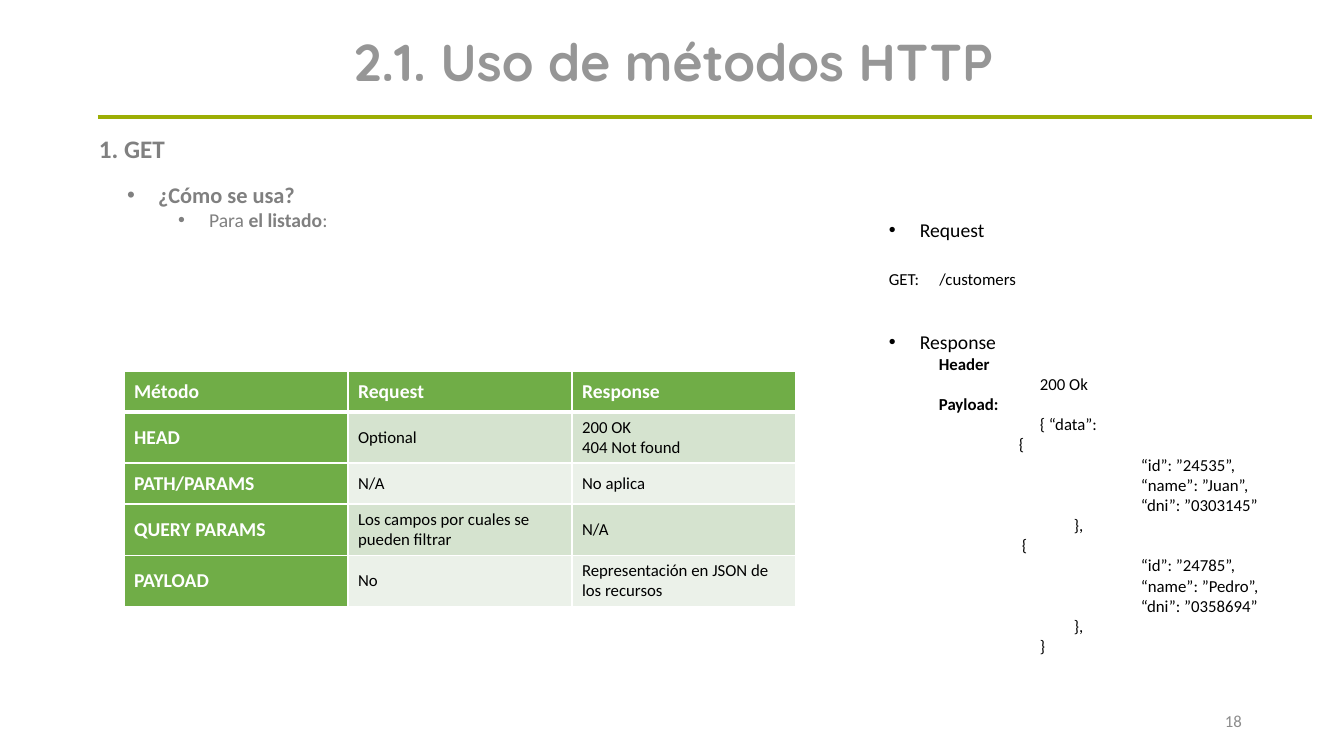
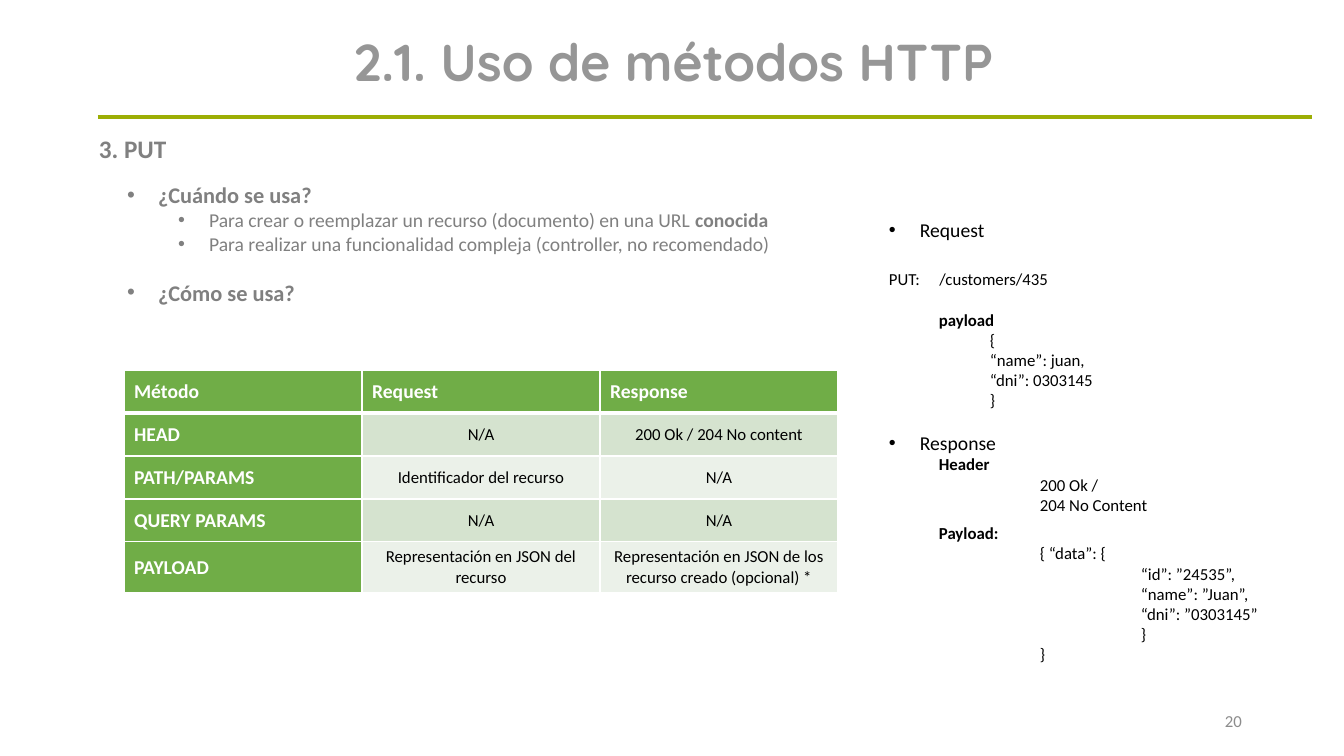
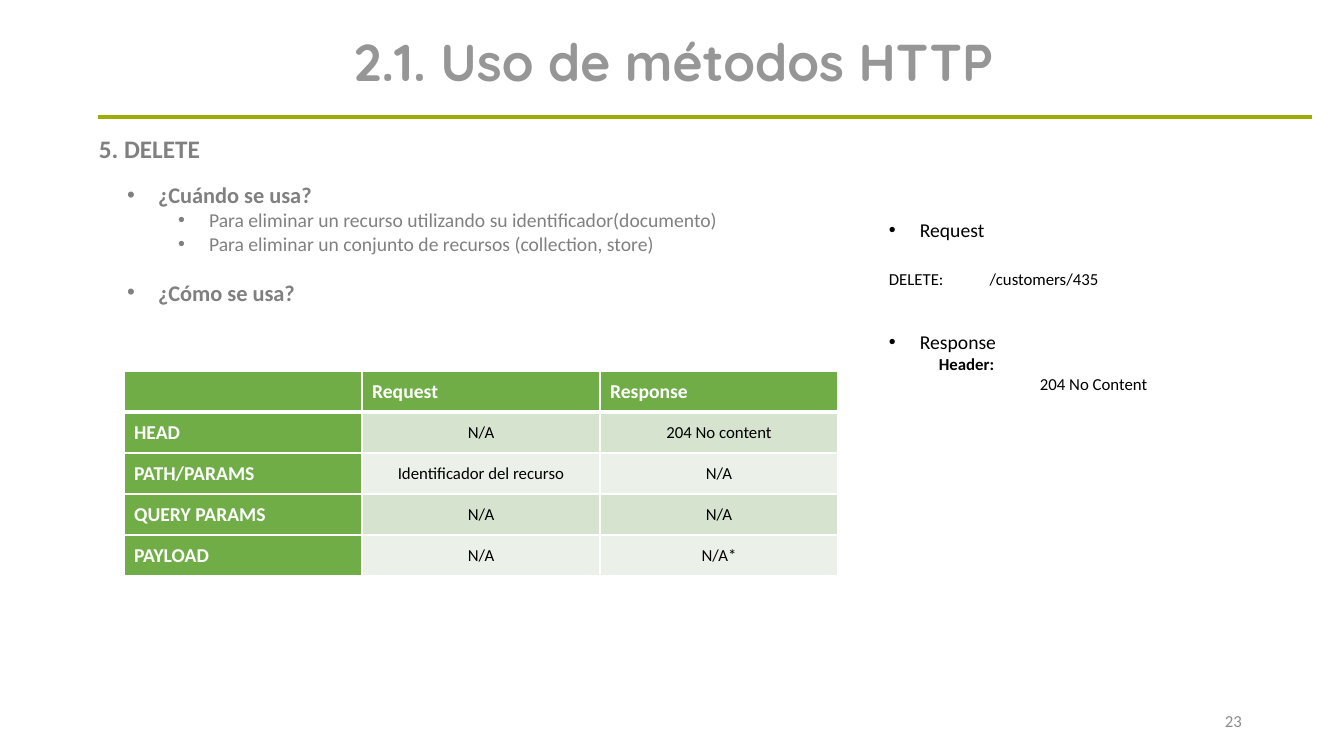
from dataclasses import dataclass

from pptx import Presentation
from pptx import util as u
from pptx.dml.color import RGBColor
from pptx.enum import shapes
from pptx.enum import text as et
from pptx.oxml.ns import qn
from lxml import etree

EMU_PER_PX = 914400 / 100.8


def px(n: int) -> int:
    return round(n * EMU_PER_PX)


# Theme: colours, fonts and type sizes
@dataclass(frozen=True)
class Theme:
    white: str = "FFFFFF"
    black: str = "000000"
    grey: str = "808080"
    title_grey: str = "969696"
    page_grey: str = "8C8C8C"
    rule: str = "9CAE04"
    green: str = "70AD47"
    bands: tuple[str, str] = ("D5E3CF", "EBF1E9")
    font: str = "Calibri"
    title_font: str = "Quicksand"
    title: int = 37
    heading: int = 18
    item: int = 16
    label: int = 14
    small: int = 12


T = Theme()
TITLE = "2.1. Uso de métodos HTTP"
ROW_LABELS = ("HEAD", "PATH/PARAMS", "QUERY PARAMS", "PAYLOAD")
LEFT, CENTER = et.PP_ALIGN.LEFT, et.PP_ALIGN.CENTER


@dataclass(frozen=True)
class Box:
    x: int
    y: int
    w: int
    h: int


@dataclass(frozen=True)
class Line:
    """One paragraph; a "|" in the text switches bold on or off."""
    text: str
    size: int = T.small
    bold: bool = False
    indent: int = 0
    hang: int = 0
    level: int = 0
    before: float = 0
    tab: int = 0


@dataclass(frozen=True)
class Grid:
    corner: str
    top: int
    col_w: int
    row_h: tuple[int, ...]
    cells: tuple[tuple[str, str], ...]
    align: et.PP_ALIGN = CENTER


@dataclass(frozen=True)
class Page:
    number: int
    heading: str
    outline: tuple[Line, ...]
    outline_h: int
    grid: Grid
    panel: tuple[Line, ...]
    panel_h: int


# Kinds of line
def item(s: str, before: float = 0) -> Line:
    return Line(s, T.item, True, indent=31, hang=31, before=before)


def sub(s: str) -> Line:
    return Line(s, T.label, indent=82, hang=31, level=1)


def label(s: str, before: float = 0) -> Line:
    return Line(s, T.label, indent=31, hang=31, before=before)


def part(s: str, before: float = 0) -> Line:
    return Line(s, bold=True, indent=50, before=before)


def code(indent: int, *rows: str) -> tuple[Line, ...]:
    return tuple(Line(s, indent=indent) for s in rows)


def call(method: str, target: str, tab: int = 42) -> Line:
    return Line(f"{method}:\t{target}", before=19.5, tab=tab)


# Text
def write(p, s: str, *, size: int, color: str, bold: bool = False,
          font: str = T.font) -> None:
    for i, chunk in enumerate(s.split("|")):
        if chunk:
            r = p.add_run()
            r.text = chunk
            r.font.size = u.Pt(size)
            r.font.name = font
            r.font.bold = bold != bool(i % 2)
            r.font.color.rgb = RGBColor.from_string(color)


def write_lines(tf, lines: tuple[Line, ...], color: str) -> None:
    for i, line in enumerate(lines):
        p = tf.add_paragraph() if i else tf.paragraphs[0]
        p.level = line.level
        pPr = p._p.get_or_add_pPr()
        pPr.set("marL", str(px(line.indent)))
        pPr.set("indent", str(-px(line.hang)))
        if line.hang:
            etree.SubElement(pPr, qn("a:buFont"), typeface="Arial")
            etree.SubElement(pPr, qn("a:buChar"), char="•")
        if line.tab:
            tabs = etree.SubElement(pPr, qn("a:tabLst"))
            etree.SubElement(tabs, qn("a:tab"), pos=str(px(line.tab)), algn="l")
        p.line_spacing = 1.0
        p.space_before = u.Pt(line.before)
        write(p, line.text, size=line.size, color=color, bold=line.bold)


def place(sp, box: Box, anchor=et.MSO_ANCHOR.TOP):
    sp.left, sp.top, sp.width, sp.height = map(px, (box.x, box.y, box.w, box.h))
    tf = sp.text_frame
    tf.word_wrap = True
    tf.auto_size = et.MSO_AUTO_SIZE.NONE
    tf.vertical_anchor = anchor
    return tf


def text_box(slide, box: Box, anchor=et.MSO_ANCHOR.TOP):
    return place(slide.shapes.add_textbox(0, 0, 0, 0), box, anchor)


# Table
def set_borders(cell, row: int) -> None:
    tcPr = cell._tc.get_or_add_tcPr()
    widths = {"L": 1, "R": 1, "T": 3 if row == 1 else 1, "B": 1 if row else 3}
    for side, width in widths.items():
        ln = etree.SubElement(tcPr, qn(f"a:ln{side}"), w=str(u.Pt(width)))
        fill = etree.SubElement(ln, qn("a:solidFill"))
        etree.SubElement(fill, qn("a:srgbClr"), val=T.white)


def add_grid(slide, grid: Grid) -> None:
    rows = ((grid.corner, "Request", "Response"),
            *((name, *pair) for name, pair in zip(ROW_LABELS, grid.cells)))
    table = slide.shapes.add_table(
        len(rows), 3, px(124), px(grid.top),
        px(grid.col_w * 3), px(sum(grid.row_h))).table
    for col in table.columns:
        col.width = px(grid.col_w)
    for i, (row, height) in enumerate(zip(rows, grid.row_h)):
        table.rows[i].height = px(height)
        for j, value in enumerate(row):
            cell = table.cell(i, j)
            head = i == 0 or j == 0
            set_borders(cell, i)
            cell.fill.solid()
            cell.fill.fore_color.rgb = RGBColor.from_string(
                T.green if head else T.bands[(i - 1) % 2])
            cell.vertical_anchor = et.MSO_ANCHOR.MIDDLE
            for k, s in enumerate(value.split("\n")):
                tf = cell.text_frame
                p = tf.add_paragraph() if k else tf.paragraphs[0]
                p.alignment = LEFT if head else grid.align
                write(p, s, size=T.label if head else T.small, bold=head,
                      color=T.white if head else T.black)


# Slide frame: title, rule, heading and page number
def add_frame(slide, page: Page) -> None:
    p = place(slide.shapes.title, Box(98, 22, 1151, 85),
              et.MSO_ANCHOR.MIDDLE).paragraphs[0]
    p.alignment = CENTER
    p.line_spacing = 0.9
    write(p, TITLE, size=T.title, color=T.title_grey, bold=True, font=T.title_font)

    rule = slide.shapes.add_connector(
        shapes.MSO_CONNECTOR.STRAIGHT, px(98), px(117), px(1312), px(117))
    rule.line.color.rgb = RGBColor.from_string(T.rule)
    rule.line.width = u.Pt(2.25)
    etree.SubElement(rule._element.spPr, qn("a:effectLst"))

    p = text_box(slide, Box(89, 113, 1215, 51)).paragraphs[0]
    p.alignment = et.PP_ALIGN.JUSTIFY
    p.line_spacing = 1.5
    write(p, page.heading, size=T.heading, color=T.grey, bold=True)

    p = text_box(slide, Box(950, 701, 302, 40), et.MSO_ANCHOR.MIDDLE).paragraphs[0]
    p.alignment = et.PP_ALIGN.RIGHT
    write(p, str(page.number), size=T.small, color=T.page_grey)


def add_page(prs, page: Page) -> None:
    slide = prs.slides.add_slide(prs.slide_layouts[1])
    add_frame(slide, page)
    body = slide.placeholders[1]
    body.fill.solid()
    body.fill.fore_color.rgb = RGBColor.from_string(T.white)
    write_lines(place(body, Box(117, 176, 1122, page.outline_h)),
                page.outline, T.grey)
    add_grid(slide, page.grid)
    write_lines(text_box(slide, Box(879, 213, 410, page.panel_h)),
                page.panel, T.black)


# Content
JUAN = ("“id”: ”24535”,", "“name”: ”Juan”,", "“dni”: ”0303145”")
PEDRO = ("“id”: ”24785”,", "“name”: ”Pedro”,", "“dni”: ”0358694”")
HOW = "¿Cómo se usa?"
WHEN = "¿Cuándo se usa?"

PAGES = (
    Page(
        18, "1. GET",
        (item(HOW), sub("Para |el listado|:")), 61,
        Grid("Método", 371, 224, (41, 50, 41, 50, 50), (
            ("Optional", "200 OK\n404 Not found"),
            ("N/A", "No aplica"),
            ("Los campos por cuales se pueden filtrar", "N/A"),
            ("No", "Representación en JSON de los recursos"),
        ), LEFT),
        (label("Request"), call("GET", "/customers"),
         label("Response", 29.3),
         part("Header"), *code(151, "200 Ok"),
         part("Payload:"), *code(151, "{ “data”:"), *code(130, "{"),
         *code(252, *JUAN), *code(185, "},"), *code(133, "{"),
         *code(252, *PEDRO), *code(185, "},"), *code(151, "}")), 452),
    Page(
        20, "3. PUT",
        (item(WHEN),
         sub("Para crear o reemplazar un recurso (documento) en una URL |conocida"),
         sub("Para realizar una funcionalidad compleja (controller, no recomendado)"),
         item(HOW, 17)), 159,
        Grid("Método", 370, 238, (43, 43, 43, 43, 51), (
            ("N/A", "200 Ok / 204 No content"),
            ("Identificador del recurso", "N/A"),
            ("N/A", "N/A"),
            ("Representación en JSON del recurso",
             "Representación en JSON de los recurso creado (opcional) *"),
        )),
        (label("Request"), call("PUT", "/customers/435"),
         part("payload", 14.6),
         *code(101, "{", "“name”: juan,", "“dni”: 0303145", "}"),
         label("Response", 14.6),
         part("Header"), *code(151, "200 Ok /", "204 No Content"),
         part("Payload:", 6), *code(151, "{ “data”: {"),
         *code(252, *JUAN, "}"), *code(151, "}")), 460),
    Page(
        23, "5. DELETE",
        (item(WHEN),
         sub("Para eliminar un recurso utilizando su identificador(documento)"),
         sub("Para eliminar un conjunto de recursos (collection, store)"),
         item(HOW, 17)), 159,
        Grid("", 371, 238, (41,) * 5, (
            ("N/A", "204 No content"),
            ("Identificador del recurso", "N/A"),
            ("N/A", "N/A"),
            ("N/A", "N/A*"),
        )),
        (label("Request"), call("DELETE", "/customers/435", 66),
         label("Response", 29.3),
         part("Header:"), *code(151, "204 No Content")), 186),
)


def main() -> None:
    prs = Presentation()
    prs.slide_width, prs.slide_height = px(1344), px(756)
    for page in PAGES:
        add_page(prs, page)
    prs.save("out.pptx")


if __name__ == "__main__":
    main()
